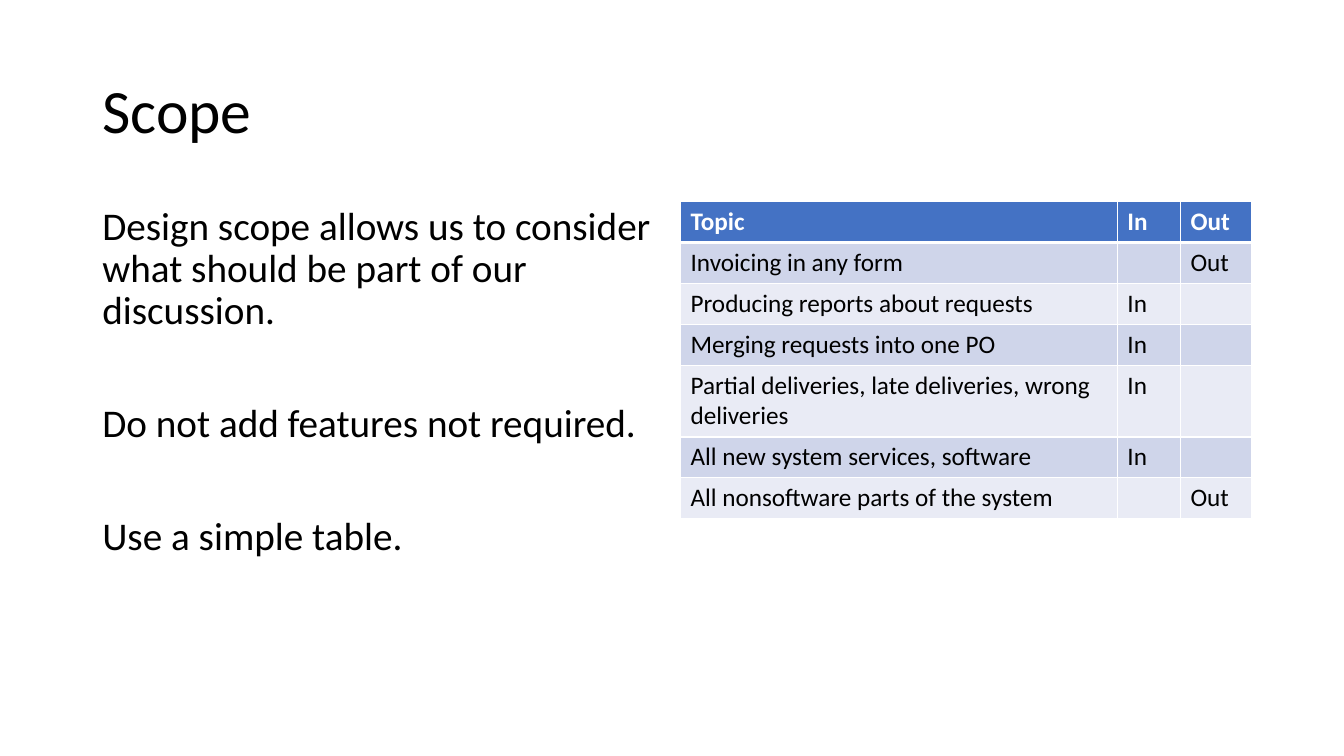
"""Build the Scope slide: a title, three statements and an in/out table."""
from lxml.etree import SubElement
from pptx import Presentation
from pptx.dml.color import RGBColor
from pptx.enum.text import MSO_ANCHOR as Anchor
from pptx.oxml.ns import qn
from pptx.util import Cm, Pt

BLACK = RGBColor(0x00, 0x00, 0x00)
WHITE = RGBColor(0xFF, 0xFF, 0xFF)
HEADER_BLUE = RGBColor(0x44, 0x72, 0xC4)
BAND_DARK = RGBColor(0xCF, 0xD5, 0xEA)
BAND_LIGHT = RGBColor(0xE9, 0xEB, 0xF5)


def write(para, text, size=18, color=BLACK, bold=False, line=1.0, before=0):
    para.line_spacing = line
    para.space_before = Pt(before)
    span = para.add_run()
    span.text = text
    span.font.name = "Calibri"
    span.font.size = Pt(size)
    span.font.bold = bold
    span.font.color.rgb = color


def set_borders(cell, bottom):
    properties = cell._tc.get_or_add_tcPr()
    widths = {"a:lnL": 1, "a:lnR": 1, "a:lnT": 1, "a:lnB": bottom}
    for position, (side, width) in enumerate(widths.items()):
        border = SubElement(properties, qn(side), w=str(Pt(width)))
        fill = SubElement(border, qn("a:solidFill"))
        SubElement(fill, qn("a:srgbClr"), val=str(WHITE))
        properties.insert(position, border)


deck = Presentation()
deck.slide_width, deck.slide_height = Cm(33.87), Cm(19.05)
page = deck.slides.add_slide(deck.slide_layouts[6])

title = page.shapes.add_textbox(Cm(2.33), Cm(1.01), Cm(29.21), Cm(3.68)).text_frame
title.word_wrap = True
title.vertical_anchor = Anchor.MIDDLE
write(title.paragraphs[0], "Scope", size=44, line=0.9)

STATEMENTS = [
    ("Design scope allows us to consider what should be part of our discussion.", 10),
    ("Do not add features not required.", 50.5),
    ("Use a simple table.", 50.5),
]
body = page.shapes.add_textbox(Cm(2.33), Cm(5.07), Cm(14.4), Cm(12.09)).text_frame
body.word_wrap = True
for index, (statement, gap) in enumerate(STATEMENTS):
    para = body.add_paragraph() if index else body.paragraphs[0]
    write(para, statement, size=28, line=0.9, before=gap)

ROWS = [
    ("Topic", "In", "Out"),
    ("Invoicing in any form", "", "Out"),
    ("Producing reports about requests", "In", ""),
    ("Merging requests into one PO", "In", ""),
    ("Partial deliveries, late deliveries, wrong deliveries", "In", ""),
    ("All new system services, software", "In", ""),
    ("All nonsoftware parts of the system", "", "Out"),
]
COLUMN_WIDTHS = [Cm(11.01), Cm(1.59), Cm(1.8)]
ROW_HEIGHT, TWO_LINE_HEIGHT = Cm(1.03), Cm(1.81)

table = page.shapes.add_table(
    len(ROWS), len(COLUMN_WIDTHS), Cm(17.15), Cm(5.08),
    sum(COLUMN_WIDTHS), ROW_HEIGHT * (len(ROWS) - 1) + TWO_LINE_HEIGHT).table
for column, width in zip(table.columns, COLUMN_WIDTHS):
    column.width = width
for row_index, texts in enumerate(ROWS):
    is_header = row_index == 0
    band = BAND_DARK if row_index % 2 else BAND_LIGHT
    is_tall = texts[0].startswith("Partial")
    table.rows[row_index].height = TWO_LINE_HEIGHT if is_tall else ROW_HEIGHT
    for column_index, text in enumerate(texts):
        cell = table.cell(row_index, column_index)
        cell.fill.solid()
        cell.fill.fore_color.rgb = HEADER_BLUE if is_header else band
        set_borders(cell, bottom=3 if is_header else 1)
        if text:
            write(cell.text_frame.paragraphs[0], text,
                  color=WHITE if is_header else BLACK, bold=is_header)

deck.save("out.pptx")
